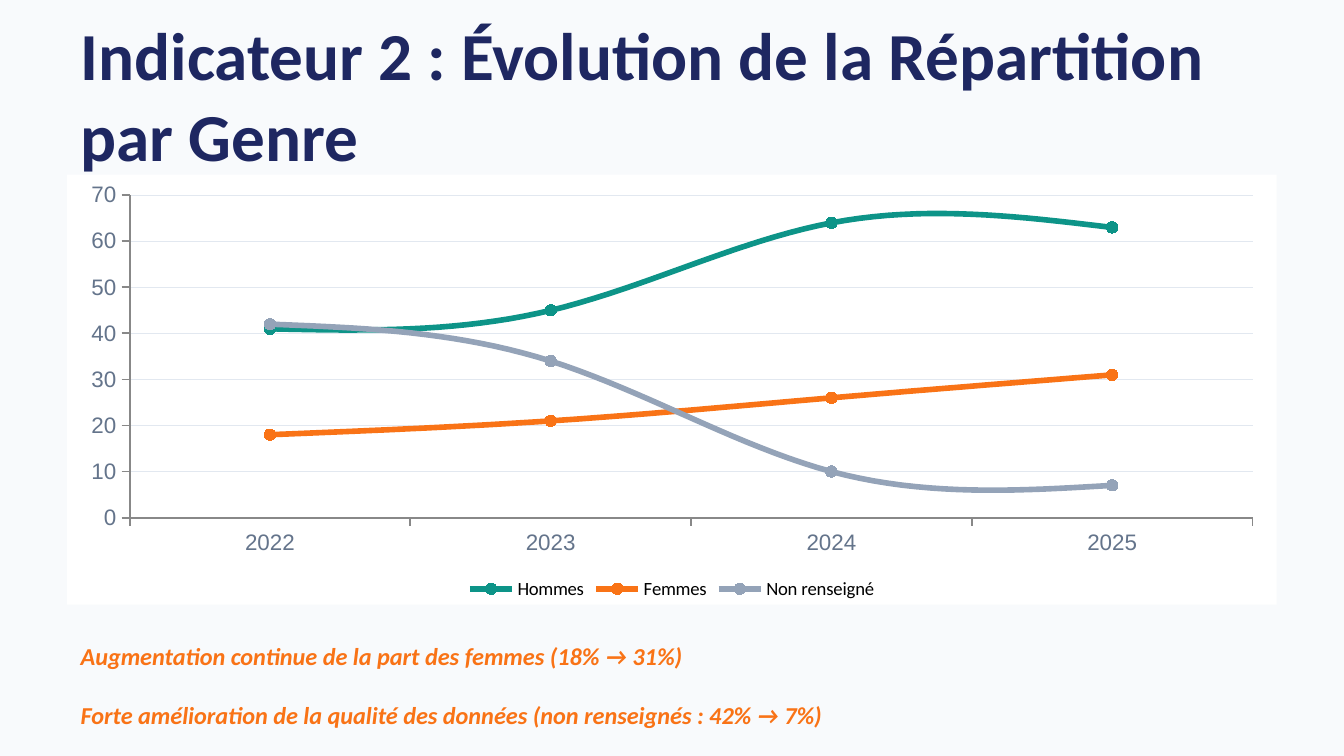
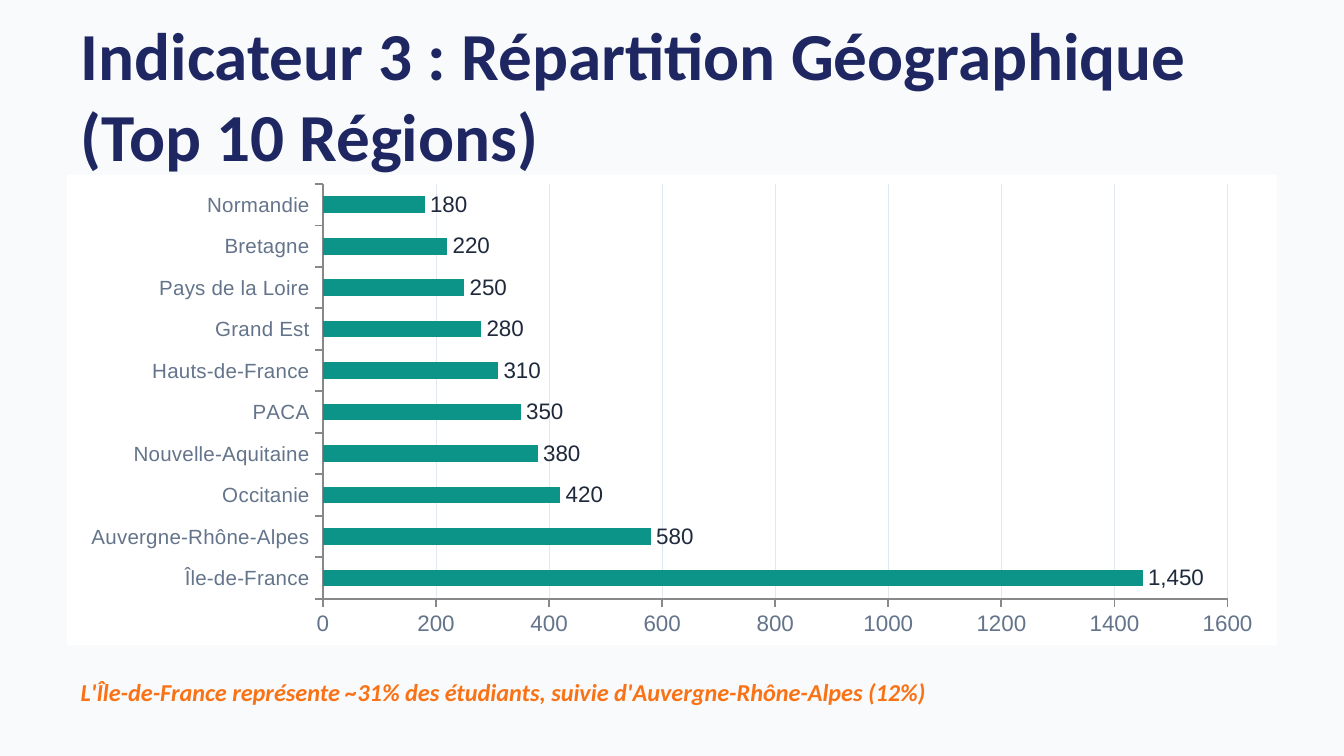
from dataclasses import dataclass

from lxml.etree import SubElement
from pptx import Presentation
from pptx.chart.data import CategoryChartData
from pptx.dml.color import RGBColor
from pptx.enum.chart import XL_CHART_TYPE as ChartType
from pptx.enum.chart import XL_LABEL_POSITION as LabelPosition
from pptx.enum.chart import XL_LEGEND_POSITION as LegendPosition
from pptx.enum.chart import XL_MARKER_STYLE as MarkerStyle
from pptx.enum.chart import XL_TICK_LABEL_POSITION as TickLabels
from pptx.enum.chart import XL_TICK_MARK as TickMark
from pptx.enum.text import MSO_ANCHOR, MSO_AUTO_SIZE, PP_ALIGN
from pptx.oxml import parse_xml
from pptx.oxml.ns import nsdecls, qn
from pptx.util import Inches, Pt


@dataclass(frozen=True)
class Theme:
    background: str = "F8FAFC"
    panel: str = "FFFFFF"
    navy: str = "1E2761"
    teal: str = "0D9488"
    orange: str = "F97316"
    silver: str = "94A3B8"
    slate: str = "64748B"
    ink: str = "1E293B"
    black: str = "000000"
    axis: str = "888888"
    grid: str = "E2E8F0"
    text_font: str = "Calibri"
    axis_font: str = "Arial"
    title_size: int = 36
    note_size: int = 13
    note_gap: int = 16
    chart_size: int = 10
    region_size: int = 11
    axis_size: int = 12


THEME = Theme()
WIDTH, HEIGHT = 10, 5.625
MARGIN = WIDTH / 20
TITLE_TOP, TITLE_HEIGHT = 0.4, 0.6
CHART_TOP = 1.3

SLIDES = [
    {
        "title": "Indicateur 2 : Évolution de la Répartition par Genre",
        "type": ChartType.LINE_MARKERS,
        "chart_height": 3.2,
        "categories": ["2022", "2023", "2024", "2025"],
        "category_size": THEME.axis_size,
        "series": [
            ("Hommes", [41, 45, 64, 63], THEME.teal),
            ("Femmes", [18, 21, 26, 31], THEME.orange),
            ("Non renseigné", [42, 34, 10, 7], THEME.silver),
        ],
        "notes": [
            "Augmentation continue de la part des femmes (18% → 31%)",
            "Forte amélioration de la qualité des données (non renseignés : 42% → 7%)",
        ],
        "notes_box": (4.8, 0.6),
    },
    {
        "title": "Indicateur 3 : Répartition Géographique (Top 10 Régions)",
        "type": ChartType.BAR_CLUSTERED,
        "chart_height": 3.5,
        "categories": [
            "Île-de-France", "Auvergne-Rhône-Alpes", "Occitanie",
            "Nouvelle-Aquitaine", "PACA", "Hauts-de-France", "Grand Est",
            "Pays de la Loire", "Bretagne", "Normandie",
        ],
        "category_size": THEME.region_size,
        "series": [
            ("Series 1", [1450, 580, 420, 380, 350, 310, 280, 250, 220, 180],
             THEME.teal),
        ],
        "notes": [
            "L'Île-de-France représente ~31% des étudiants, "
            "suivie d'Auvergne-Rhône-Alpes (12%)",
        ],
        "notes_box": (5, 0.3),
    },
]


def paint(fill, color):
    fill.solid()
    fill.fore_color.rgb = RGBColor.from_string(color)


def stroke(line, color, width):
    paint(line.fill, color)
    line.width = Pt(width)


def set_font(font, name, size, color):
    font.name, font.size = name, Pt(size)
    font.color.rgb = RGBColor.from_string(color)


def band(top, height):
    return [Inches(n) for n in (MARGIN, top, WIDTH - 2 * MARGIN, height)]


def write(holder, box, lines, size, color, italic=False):
    holder.left, holder.top, holder.width, holder.height = box
    frame = holder.text_frame
    frame.text = "\n".join(lines)
    frame.word_wrap = True
    frame.auto_size = MSO_AUTO_SIZE.NONE
    frame.vertical_anchor = MSO_ANCHOR.MIDDLE
    for index, paragraph in enumerate(frame.paragraphs):
        paragraph.alignment = PP_ALIGN.LEFT
        paragraph.space_before = Pt(THEME.note_gap if index else 0)
        set_font(paragraph.font, THEME.text_font, size, color)
        paragraph.font.bold, paragraph.font.italic = True, italic
        properties = paragraph._p.get_or_add_pPr()
        properties.set("marL", "0")
        properties.set("indent", "0")
        SubElement(properties, qn("a:buNone"))


def style_axis(axis, size):
    axis.major_tick_mark, axis.minor_tick_mark = TickMark.OUTSIDE, TickMark.NONE
    set_font(axis.tick_labels.font, THEME.axis_font, size, THEME.slate)
    stroke(axis.format.line, THEME.axis, 1)


def style_lines(chart):
    chart.category_axis.tick_label_position = TickLabels.LOW
    chart.has_legend = True
    chart.legend.position = LegendPosition.BOTTOM
    chart.legend.include_in_layout = False
    set_font(chart.legend.font, THEME.text_font, THEME.chart_size, THEME.black)


def style_bars(chart):
    chart.value_axis.tick_label_position = TickLabels.LOW
    chart.has_legend = False
    plot = chart.plots[0]
    plot.gap_width = 150
    plot.has_data_labels = True
    labels = plot.data_labels
    labels.show_value = True
    labels.number_format, labels.number_format_is_linked = "#,##0", False
    labels.position = LabelPosition.OUTSIDE_END
    set_font(labels.font, THEME.axis_font, THEME.axis_size, THEME.ink)


def add_indicator_chart(slide, content):
    data = CategoryChartData()
    data.categories = content["categories"]
    for name, values, _ in content["series"]:
        data.add_series(name, values)
    box = band(CHART_TOP, content["chart_height"])
    chart = slide.shapes.add_chart(content["type"], *box, data).chart
    chart.has_title = False
    set_font(chart.font, THEME.text_font, THEME.chart_size, THEME.black)
    chart._chartSpace.find(qn("c:txPr")).addprevious(parse_xml(
        f'<c:spPr {nsdecls("c", "a")}><a:solidFill><a:srgbClr val="{THEME.panel}"/>'
        "</a:solidFill><a:ln><a:noFill/></a:ln></c:spPr>"))

    style_axis(chart.category_axis, content["category_size"])
    style_axis(chart.value_axis, THEME.axis_size)
    chart.category_axis.has_major_gridlines = False
    chart.value_axis.has_major_gridlines = True
    stroke(chart.value_axis.major_gridlines.format.line, THEME.grid, 0.5)
    chart.value_axis.tick_labels.number_format = "General"
    chart.value_axis.tick_labels.number_format_is_linked = False

    chart.plots[0].vary_by_categories = False
    is_line = content["type"] == ChartType.LINE_MARKERS
    for series, (_, _, color) in zip(chart.plots[0].series, content["series"]):
        if is_line:
            series.smooth = True
            stroke(series.format.line, color, 3)
            series.marker.style, series.marker.size = MarkerStyle.CIRCLE, 6
            paint(series.marker.format.fill, color)
            stroke(series.marker.format.line, color, 0.75)
        else:
            paint(series.format.fill, color)
    (style_lines if is_line else style_bars)(chart)


def main():
    prs = Presentation()
    prs.slide_width, prs.slide_height = Inches(WIDTH), Inches(HEIGHT)
    paint(prs.slide_master.background.fill, THEME.background)
    for content in SLIDES:
        slide = prs.slides.add_slide(prs.slide_layouts.get_by_name("Title and Content"))
        title, notes = slide.placeholders
        write(title, band(TITLE_TOP, TITLE_HEIGHT), [content["title"]],
              THEME.title_size, THEME.navy)
        add_indicator_chart(slide, content)
        write(notes, band(*content["notes_box"]), content["notes"],
              THEME.note_size, THEME.orange, italic=True)
    prs.save("out.pptx")


if __name__ == "__main__":
    main()
